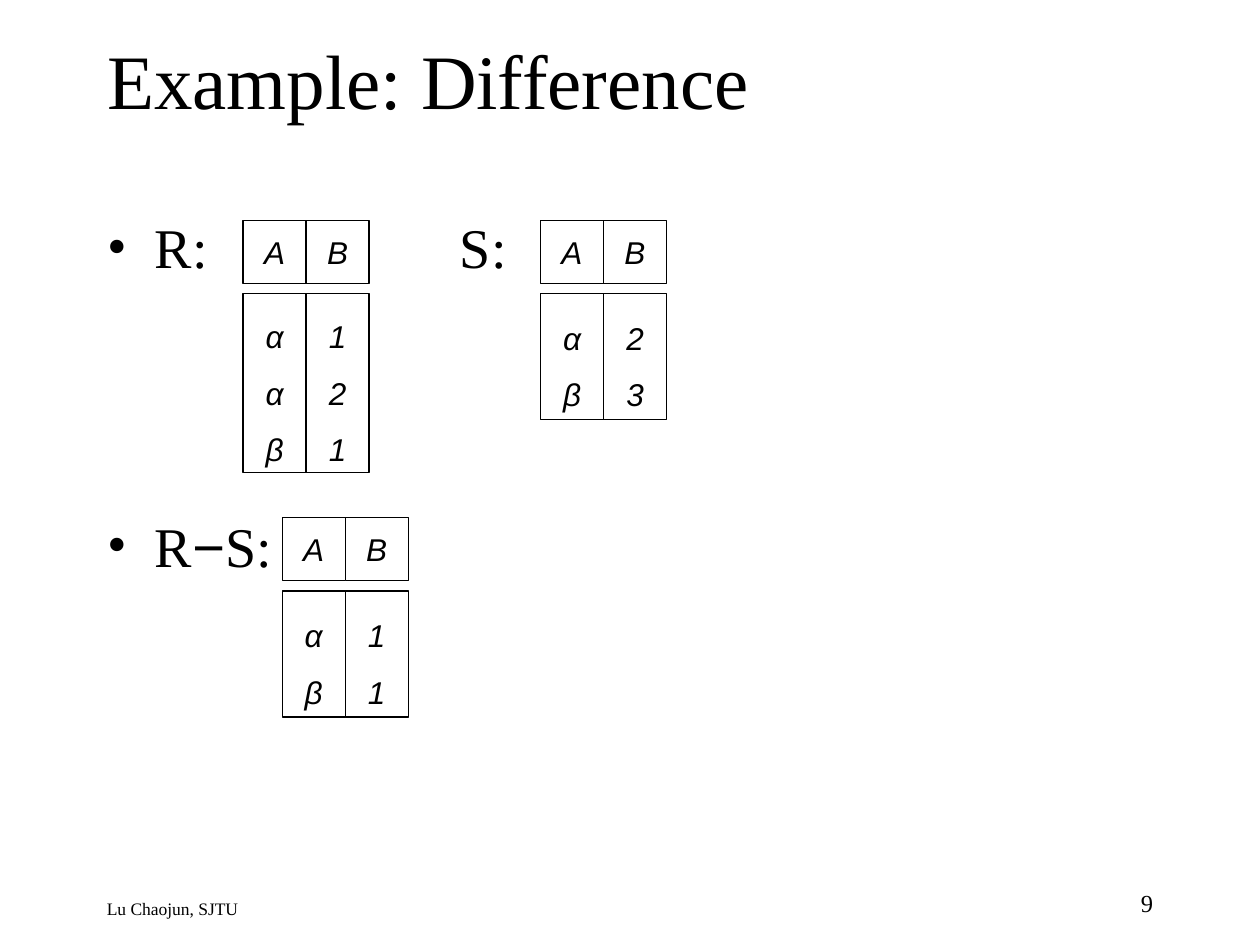
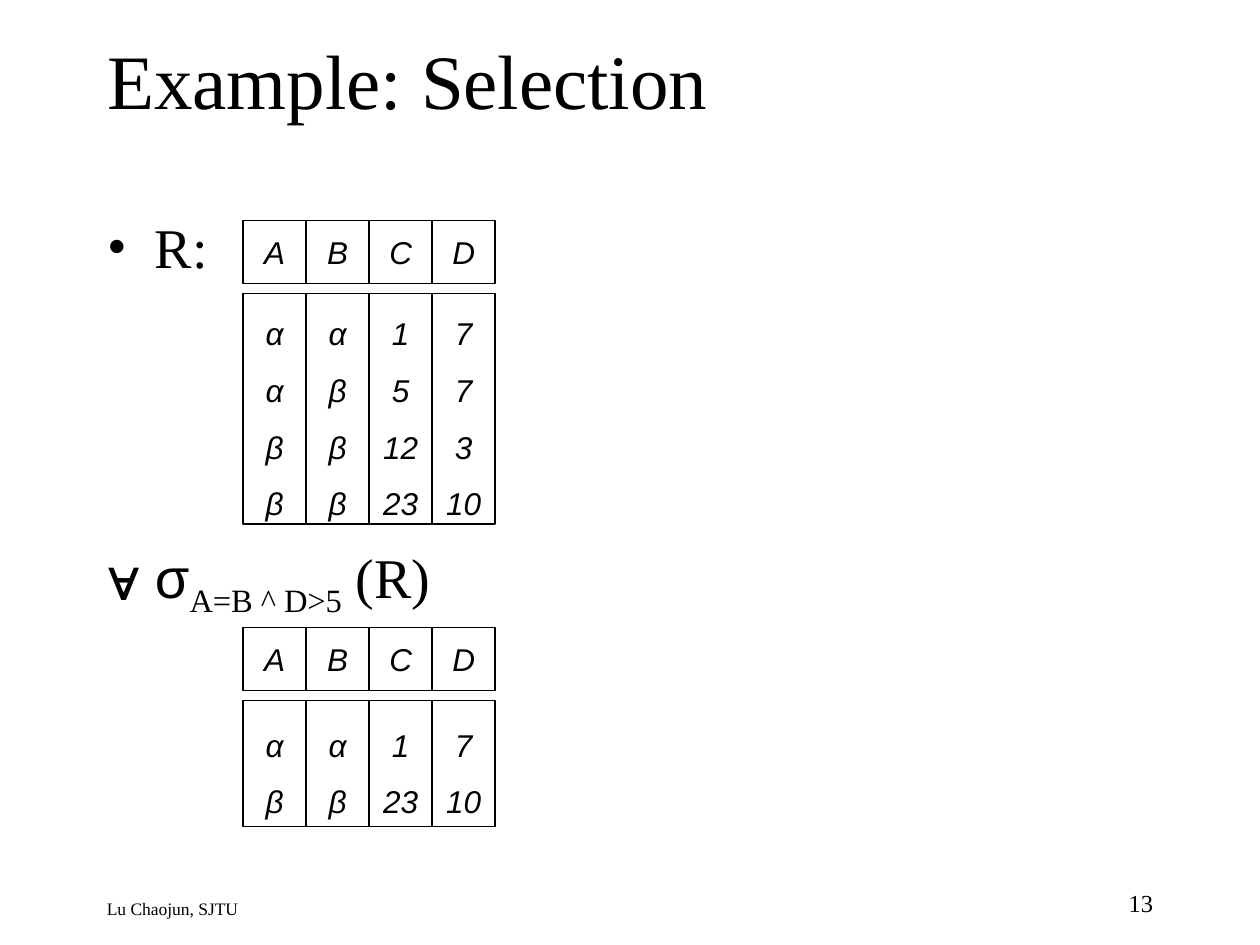
from lxml import etree
from pptx import Presentation
from pptx.dml.color import RGBColor
from pptx.enum.shapes import MSO_SHAPE as Shape
from pptx.enum.text import MSO_ANCHOR as Anchor, MSO_AUTO_SIZE as AutoSize, PP_ALIGN as Align
from pptx.oxml.ns import qn
from pptx.util import Inches, Pt

BLACK = RGBColor(0x00, 0x00, 0x00)
WHITE = RGBColor(0xFF, 0xFF, 0xFF)
SERIF, SANS = "Times New Roman", "Arial"

# Shared geometry, in inches
LEFT, WIDTH = 0.75, 8.5
CELL = 0.5
BODY_OFFSET = 0.58
HANG = 0.38
FOOTER = "Lu Chaojun, SJTU"


class RelationDeck:
    """Style of the lecture and the page being filled."""

    def __init__(self):
        self.deck = Presentation()
        self.deck.slide_width, self.deck.slide_height = Inches(10), Inches(7.5)
        self.page = None

    def add_span(self, para, text, size, font=SERIF, italic=False):
        span = para.add_run()
        span.text = text
        span.font.name, span.font.size = font, Pt(size)
        span.font.italic = italic
        span.font.color.rgb = BLACK
        return span

    def place(self, box, left, top, width, height):
        box.left, box.top = Inches(left), Inches(top)
        box.width, box.height = Inches(width), Inches(height)

    def new_page(self, title, number):
        self.page = self.deck.slides.add_slide(self.deck.slide_layouts[1])
        box = self.page.shapes.title
        self.place(box, LEFT, 0, WIDTH, 1.25)
        box.text_frame.auto_size = AutoSize.NONE
        box.text_frame.vertical_anchor = Anchor.MIDDLE
        para = box.text_frame.paragraphs[0]
        para.alignment = Align.LEFT
        self.add_span(para, title, 44)
        self.footer_text(FOOTER, LEFT, 7.08, 5.8, 0.25, 10, Align.LEFT)
        self.footer_text(str(number), 7.17, 7, 2.08, 0.33, 14, Align.RIGHT)

    def footer_text(self, text, left, top, width, height, size, align):
        box = self.page.shapes.add_textbox(
            Inches(left), Inches(top), Inches(width), Inches(height))
        box.text_frame.word_wrap = True
        para = box.text_frame.paragraphs[0]
        para.alignment = align
        self.add_span(para, text, size)

    def open_list(self):
        box = self.page.placeholders[1]
        self.place(box, LEFT, 1.58, WIDTH, 5.08)
        frame = box.text_frame
        frame.auto_size = AutoSize.NONE
        frame.margin_top = Inches(0.11)
        return frame

    def add_bullet(self, para, symbol="•", font=SERIF, before=0, tab=None):
        para.space_before = Pt(before)
        props = para._p.get_or_add_pPr()
        props.set("marL", str(Inches(HANG)))
        props.set("indent", str(-Inches(HANG)))
        etree.SubElement(props, qn("a:buFont"), typeface=font)
        etree.SubElement(props, qn("a:buChar"), char=symbol)
        if tab:
            tabs = etree.SubElement(props, qn("a:tabLst"))
            etree.SubElement(tabs, qn("a:tab"), pos=str(Inches(tab)), algn="l")

    def add_cell(self, lines, left, top, height, spacing=1.0):
        box = self.page.shapes.add_shape(
            Shape.RECTANGLE, Inches(left), Inches(top), Inches(CELL), Inches(height))
        box.shadow.inherit = False
        box.fill.solid()
        box.fill.fore_color.rgb = WHITE
        box.line.color.rgb = BLACK
        box.line.width = Pt(0.75)
        frame = box.text_frame
        frame.word_wrap = False
        frame.vertical_anchor = Anchor.MIDDLE
        for index, line in enumerate(lines):
            para = frame.add_paragraph() if index else frame.paragraphs[0]
            para.alignment = Align.CENTER
            para.line_spacing = spacing
            self.add_span(para, line, 18, SANS, italic=True)

    def add_relation(self, left, top, height, names, rows):
        """Header cells above one tall cell for each column of values."""
        lefts = [left + CELL * index for index in range(len(names))]
        for x, name in zip(lefts, names):
            self.add_cell([name], x, top, CELL)
        for x, column in zip(lefts, zip(*rows)):
            self.add_cell(column, x, top + BODY_OFFSET, height, spacing=1.5)


def difference_page(style):
    style.new_page("Example: Difference", 9)

    # Labels of the relations
    frame = style.open_list()
    para = frame.paragraphs[0]
    style.add_bullet(para, tab=2.8)
    style.add_span(para, "R:\tS:", 32)
    para = frame.add_paragraph()
    style.add_bullet(para, before=132)
    for text, font in (("R", SERIF), ("−", SANS), ("S:", SERIF)):
        style.add_span(para, text, 32, font)

    # R, S and their difference
    style.add_relation(1.93, 1.75, 1.42, "AB", ["α1", "α2", "β1"])
    style.add_relation(4.29, 1.75, 1, "AB", ["α2", "β3"])
    style.add_relation(2.24, 4.11, 1, "AB", ["α1", "β1"])


def selection_page(style):
    style.new_page("Example: Selection", 13)

    # Relation label and selection formula
    frame = style.open_list()
    para = frame.paragraphs[0]
    style.add_bullet(para)
    style.add_span(para, "R:", 32)
    para = frame.add_paragraph()
    style.add_bullet(para, "∀", SANS, before=150)
    style.add_span(para, "σ", 32, SANS)
    condition = style.add_span(para, "A=B ^ D>5", 32)
    condition.font._element.set("baseline", "-25000")
    style.add_span(para, " (R)", 32)

    # R and the selected rows
    first, last = ("α", "α", "1", "7"), ("β", "β", "23", "10")
    middle = [("α", "β", "5", "7"), ("β", "β", "12", "3")]
    style.add_relation(1.93, 1.75, 1.83, "ABCD", [first, *middle, last])
    style.add_relation(1.93, 4.98, 1, "ABCD", [first, last])


def main():
    style = RelationDeck()
    difference_page(style)
    selection_page(style)
    style.deck.save("out.pptx")


if __name__ == "__main__":
    main()
